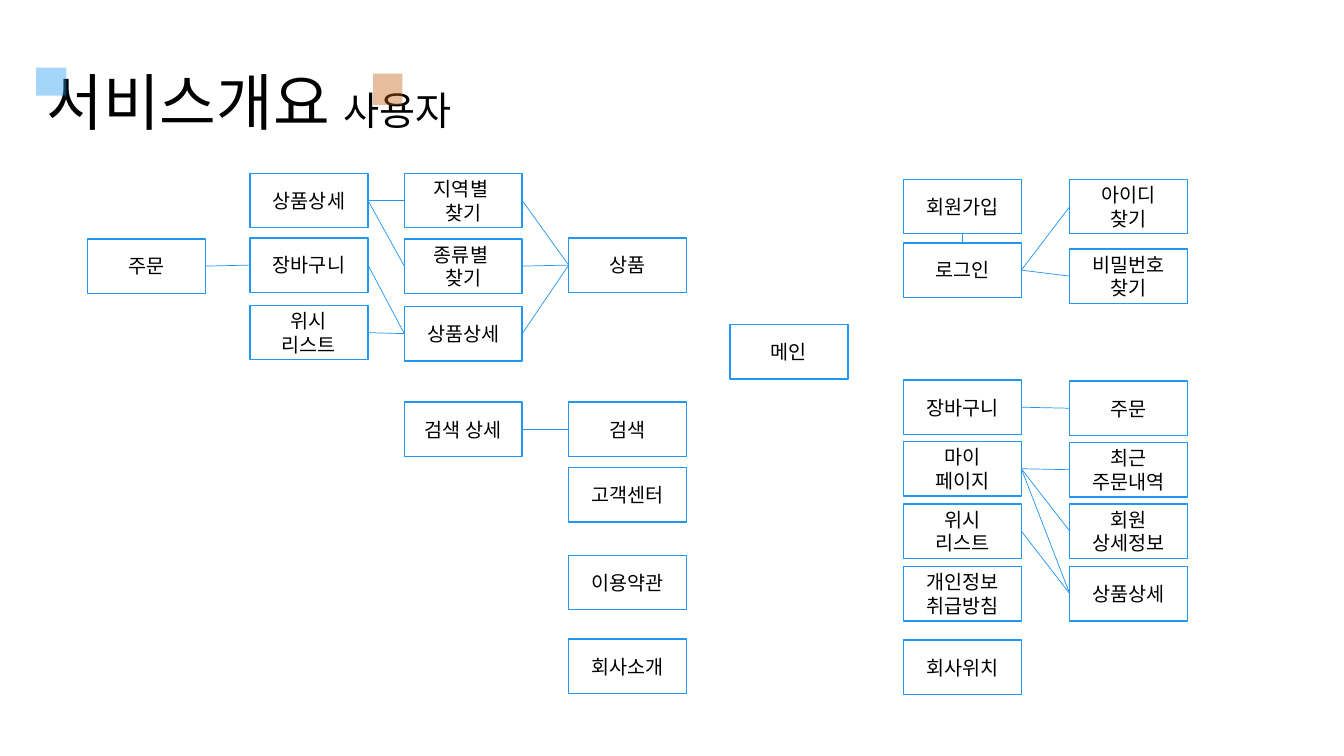
"""Build the user-side service overview sitemap slide."""
from pptx import Presentation
from pptx.dml.color import RGBColor
from pptx.enum.shapes import MSO_CONNECTOR as Line, MSO_SHAPE as Preset
from pptx.enum.text import MSO_ANCHOR as Anchor, PP_ALIGN as Align
from pptx.oxml.ns import qn
from pptx.util import Inches, Pt
from lxml.etree import SubElement

BLUE = RGBColor(0x21, 0x96, 0xF3)
ORANGE = RGBColor(0xC5, 0x5A, 0x11)
BLACK = RGBColor(0, 0, 0)
FONT = "Noto Sans CJK KR"
PAGE_WIDTH, PAGE_HEIGHT = 1.17, 0.54
TOP, LEFT, BOTTOM, RIGHT = range(4)


def add_text(paragraph, text, size=14, align=Align.CENTER, spacing=None):
    paragraph.alignment = align
    paragraph.line_spacing = spacing
    run = paragraph.add_run()
    run.text = text
    run.font.size = Pt(size)
    run.font.color.rgb = BLACK
    run.font.name = FONT
    SubElement(run.font._element, qn("a:ea")).set("typeface", FONT)


def add_box(x, y, width, height):
    box = slide.shapes.add_shape(
        Preset.RECTANGLE, Inches(x), Inches(y), Inches(width), Inches(height))
    box.shadow.inherit = False
    return box


deck = Presentation()
deck.slide_width, deck.slide_height = Inches(13.33), Inches(7.5)
slide = deck.slides.add_slide(deck.slide_layouts[5])

heading = slide.shapes.title
heading.left, heading.top = Inches(0.36), Inches(0.32)
heading.width, heading.height = Inches(11.5), Inches(1.45)
heading.text_frame.vertical_anchor = Anchor.MIDDLE
for words, size in [("서비스개요 ", 44), ("사용자", 28)]:
    add_text(heading.text_frame.paragraphs[0], words, size, Align.LEFT, 0.9)

columns = {
    "order": (0.87, [(2.37, "주문")]),
    "saved": (2.48, [(1.72, "상품상세"), (2.36, "장바구니"), (3.03, "위시\n리스트")]),
    "finder": (4.01, [(1.72, "지역별 \n찾기"), (2.37, "종류별 \n찾기"),
                      (3.04, "상품상세"), (3.99, "검색 상세")]),
    "service": (5.64, [(2.36, "상품"), (3.99, "검색"), (4.64, "고객센터"),
                       (5.51, "이용약관"), (6.34, "회사소개")]),
    "main": (7.24, [(3.22, "메인")]),
    "member": (8.96, [(1.78, "회원가입"), (2.41, "로그인"), (3.77, "장바구니"),
                      (4.38, "마이\n페이지"), (5, "위시\n리스트"),
                      (5.62, "개인정보\n취급방침"), (6.35, "회사위치")]),
    "detail": (10.61, [(1.78, "아이디\n찾기"), (2.47, "비밀번호\n찾기"), (3.78, "주문"),
                       (4.39, "최근\n주문내역"), (5, "회원\n상세정보"),
                       (5.62, "상품상세")]),
}
pages = {}
for column, (x, entries) in columns.items():
    pages[column] = []
    for y, label in entries:
        page = add_box(x, y, PAGE_WIDTH, PAGE_HEIGHT)
        page.fill.background()
        page.line.color.rgb = BLUE
        page.line.width = Pt(1)
        frame = page.text_frame
        frame.vertical_anchor = Anchor.MIDDLE
        for index, words in enumerate(label.split("\n")):
            add_text(frame.add_paragraph() if index else frame.paragraphs[0], words)
        pages[column].append(page)

routes = [
    ("service", LEFT, "finder", RIGHT, [(0, 0), (0, 1), (0, 2), (1, 3)]),
    ("finder", LEFT, "saved", RIGHT, [(0, 0), (1, 0), (2, 1), (2, 2)]),
    ("saved", LEFT, "order", RIGHT, [(1, 0)]),
    ("member", TOP, "member", BOTTOM, [(1, 0)]),
    ("member", RIGHT, "detail", LEFT,
     [(1, 0), (1, 1), (2, 2), (3, 3), (3, 4), (3, 5), (4, 5)]),
]
for source, exit_side, target, entry_side, pairs in routes:
    for start, end in pairs:
        route = slide.shapes.add_connector(Line.STRAIGHT, 0, 0, 0, 0)
        route.begin_connect(pages[source][start], exit_side)
        route.end_connect(pages[target][end], entry_side)
        route.line.color.rgb = BLUE
        route.line.width = Pt(0.5)
        SubElement(route._element.spPr, qn("a:effectLst"))

for x, y, width, height, color in [(0.36, 0.67, 0.3, 0.28, BLUE),
                                   (3.7, 0.73, 0.29, 0.31, ORANGE)]:
    accent = add_box(x, y, width, height)
    accent.fill.solid()
    accent.fill.fore_color.rgb = color
    accent.line.fill.background()
    tint = accent._element.spPr.find(qn("a:solidFill")).find(qn("a:srgbClr"))
    SubElement(tint, qn("a:alpha")).set("val", "40000")

deck.save("out.pptx")
